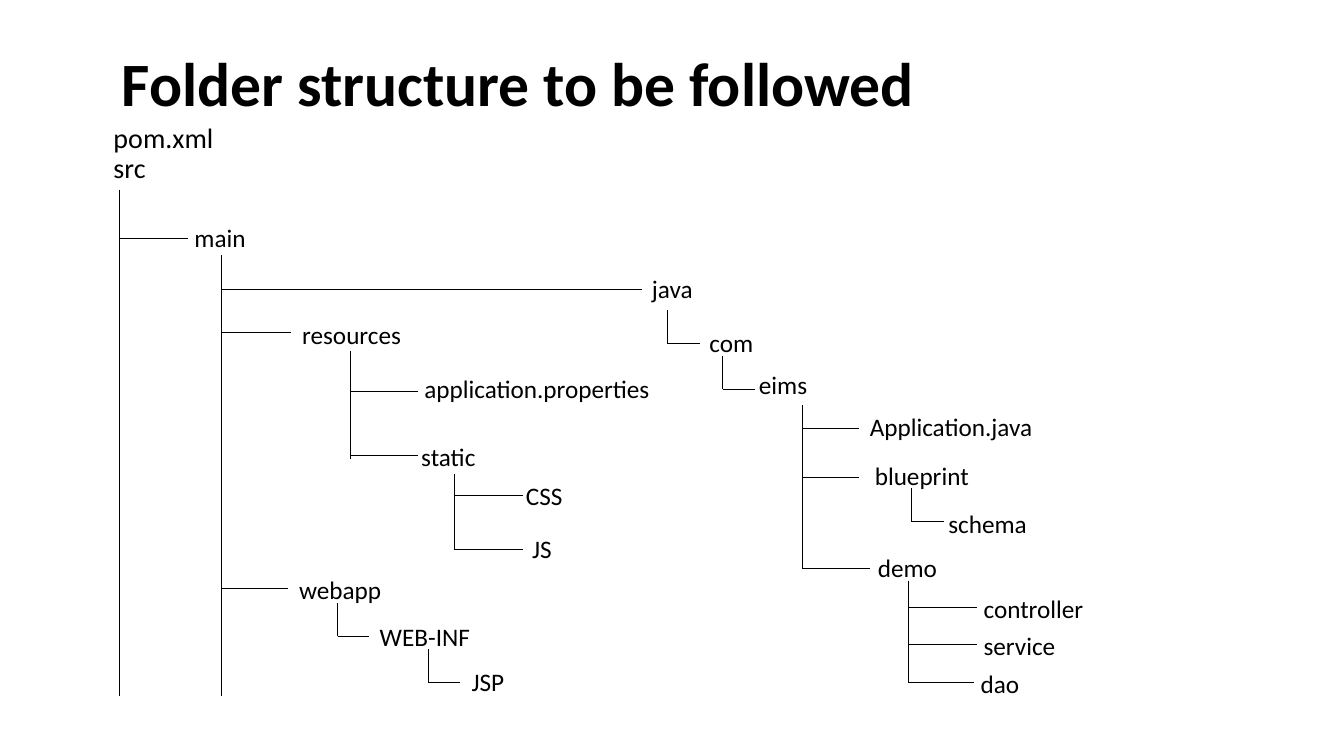
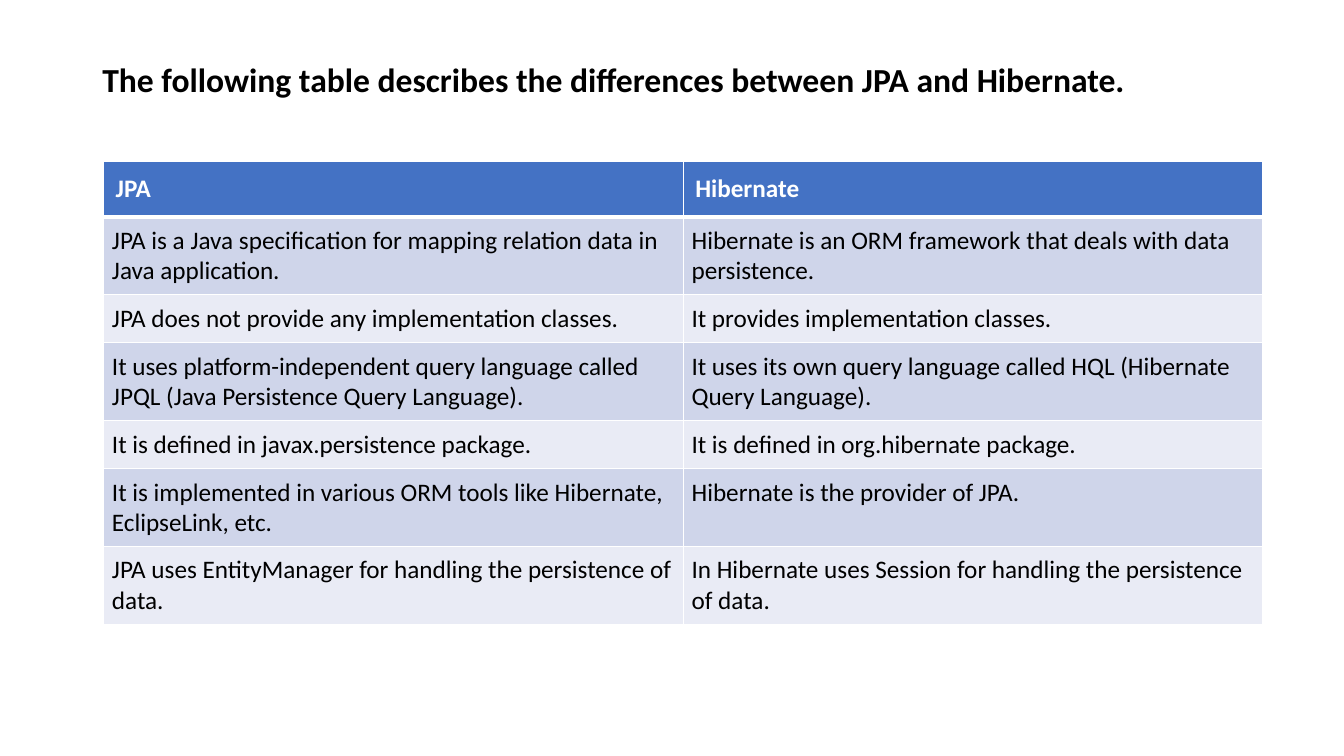
from typing import NamedTuple

from lxml.etree import SubElement
from pptx import Presentation
from pptx.dml.color import RGBColor
from pptx.enum.shapes import MSO_CONNECTOR
from pptx.enum.text import MSO_ANCHOR
from pptx.oxml.ns import qn
from pptx.util import Pt

FONT = "Calibri"
COLORS = {
    "text": "000000",
    "white": "FFFFFF",
    "header": "4472C4",
    "odd_row": "CFD5EA",
    "even_row": "E9EBF5",
}
LABEL_WIDTH, LABEL_HEIGHT = 216, 29


class Box(NamedTuple):
    left: float
    top: float
    width: float
    height: float


class Branch(NamedTuple):
    label: str
    line_y: float
    line_end: float
    text_left: float
    text_top: float


class Trunk(NamedTuple):
    x: float
    top: float
    bottom: float
    branches: list


TITLE_BOXES = [Box(80, 9.5, 828, 104.5), Box(66, 29, 827, 59)]
CONTENT_BOXES = [Box(74, 85, 828, 431), Box(74, 115.5, 828, 328)]

ROOT_FILES = "pom.xml\nsrc"
FOLDER_TREE = [
    # src
    Trunk(11, 50.5, 412.5, [Branch("main", 85.5, 60, 57.8, 70.5)]),
    # main
    Trunk(84.4, 97, 412.5, [
        Branch("java", 121.6, 384.6, 384.6, 106.5),
        Branch("resources", 152.6, 134, 134.8, 139.6),
        Branch("webapp", 335.5, 132, 132.6, 321.8),
    ]),
    # java
    Trunk(402.6, 136.8, 160.5, [Branch("com", 160.5, 425.7, 425.7, 145.4)]),
    # com
    Trunk(442.2, 169, 193, [Branch("eims", 193, 465.3, 461, 175)]),
    # eims
    Trunk(499, 204.5, 321, [
        Branch("Application.java", 221, 539.5, 540.2, 205.2),
        Branch("blueprint", 256.3, 539.5, 543.8, 240.4),
        Branch("demo", 321, 547.4, 546, 306),
    ]),
    # blueprint
    Trunk(577, 263.5, 287.2, [Branch("schema", 287.2, 600, 596.3, 274.3)]),
    # demo
    Trunk(574.5, 329.7, 402.5, [
        Branch("controller", 349.2, 623.7, 621.5, 335.5),
        Branch("service", 375, 623.7, 621.5, 361.4),
        Branch("dao", 402.5, 621.5, 619.4, 388.8),
    ]),
    # resources
    Trunk(176.6, 165.6, 242.6, [
        Branch("application.properties", 194.4, 224.8, 222, 177.8),
        Branch("static", 240.4, 224.8, 219.8, 226.8),
    ]),
    # static
    Trunk(250.2, 253.4, 307.4, [
        Branch("CSS", 268.5, 299.7, 294.6, 254.8),
        Branch("JS", 307.4, 299.7, 299, 292.3),
    ]),
    # webapp
    Trunk(167.2, 345.6, 369.5, [Branch("WEB-INF", 369.5, 189.5, 190.2, 355)]),
    # WEB-INF
    Trunk(232, 378.7, 402.5, [Branch("JSP", 402.5, 254.3, 255.8, 387.3)]),
]

COMPARISON = [
    ("JPA", "Hibernate"),
    ("JPA is a Java specification for mapping relation data in Java application.",
     "Hibernate is an ORM framework that deals with data persistence."),
    ("JPA does not provide any implementation classes.",
     "It provides implementation classes."),
    ("It uses platform-independent query language called JPQL (Java Persistence Query Language).",
     "It uses its own query language called HQL (Hibernate Query Language)."),
    ("It is defined in javax.persistence package.",
     "It is defined in org.hibernate package."),
    ("It is implemented in various ORM tools like Hibernate, EclipseLink, etc.",
     "Hibernate is the provider of JPA."),
    ("JPA uses EntityManager for handling the persistence of data.",
     "In Hibernate uses Session for handling the persistence of data."),
]
ROW_HEIGHTS = [39.3, 55.7, 34.3, 55.7, 34.3, 55.7, 55.7]


def rgb(name):
    return RGBColor.from_string(COLORS[name])


def write_text(frame, text, size, color="text", bold=False, line_spacing=None):
    frame.word_wrap = True
    frame.text = text
    for paragraph in frame.paragraphs:
        paragraph.line_spacing = line_spacing
        for run in paragraph.runs:
            run.font.name = FONT
            run.font.size = Pt(size)
            run.font.bold = bold
            run.font.color.rgb = rgb(color)


def add_text(page, box, text, size, **style):
    shape = page.shapes.add_textbox(*map(Pt, box))
    write_text(shape.text_frame, text, size, **style)
    return shape


def add_title(page, box, text, size):
    title = add_text(page, box, text, size, bold=True, line_spacing=0.9)
    title.text_frame.vertical_anchor = MSO_ANCHOR.MIDDLE


def add_line(page, start_x, start_y, end_x, end_y):
    line = page.shapes.add_connector(
        MSO_CONNECTOR.STRAIGHT, Pt(start_x), Pt(start_y), Pt(end_x), Pt(end_y))
    line.line.color.rgb = rgb("text")
    line.line.width = Pt(0.5)
    SubElement(line._element.spPr, qn("a:effectLst"))


def add_folder_tree(page, box):
    add_text(page, box, ROOT_FILES, 20, line_spacing=0.9)
    for trunk in FOLDER_TREE:
        trunk_x = box.left + trunk.x
        add_line(page, trunk_x, box.top + trunk.top, trunk_x, box.top + trunk.bottom)
        for branch in trunk.branches:
            line_y = box.top + branch.line_y
            add_line(page, trunk_x, line_y, box.left + branch.line_end, line_y)
            label_box = Box(box.left + branch.text_left, box.top + branch.text_top,
                            LABEL_WIDTH, LABEL_HEIGHT)
            add_text(page, label_box, branch.label, 18)


def add_border(cell, side, width):
    border = SubElement(cell._tc.get_or_add_tcPr(), qn(f"a:ln{side}"), w=str(Pt(width)))
    fill = SubElement(border, qn("a:solidFill"))
    SubElement(fill, qn("a:srgbClr"), val=COLORS["white"])


def style_cell(cell, text, row_index):
    is_header = row_index == 0
    for side in "LRTB":
        thick = (is_header and side == "B") or (row_index == 1 and side == "T")
        add_border(cell, side, 3 if thick else 1)
    fill_name = "header" if is_header else "odd_row" if row_index % 2 else "even_row"
    cell.fill.solid()
    cell.fill.fore_color.rgb = rgb(fill_name)
    inset = Pt(8.64 if is_header else 6)
    cell.margin_left = cell.margin_right = inset
    cell.margin_top = cell.margin_bottom = inset
    write_text(cell.text_frame, text, 18,
               color="white" if is_header else "text", bold=is_header)


def add_comparison_table(page, box):
    column_count = len(COMPARISON[0])
    table = page.shapes.add_table(len(COMPARISON), column_count, *map(Pt, box)).table
    for column in table.columns:
        column.width = Pt(box.width / column_count)
    for row_index, texts in enumerate(COMPARISON):
        table.rows[row_index].height = Pt(ROW_HEIGHTS[row_index])
        for column_index, text in enumerate(texts):
            style_cell(table.cell(row_index, column_index), text, row_index)


def main():
    deck = Presentation()
    deck.slide_width, deck.slide_height = Pt(960), Pt(540)
    slides = [
        ("Folder structure to be followed", 44, add_folder_tree),
        ("The following table describes the differences between JPA and Hibernate.",
         24, add_comparison_table),
    ]
    for (title, size, add_content), title_box, content_box in zip(
            slides, TITLE_BOXES, CONTENT_BOXES):
        page = deck.slides.add_slide(deck.slide_layouts[6])
        add_title(page, title_box, title, size)
        add_content(page, content_box)
    deck.save("out.pptx")


if __name__ == "__main__":
    main()
